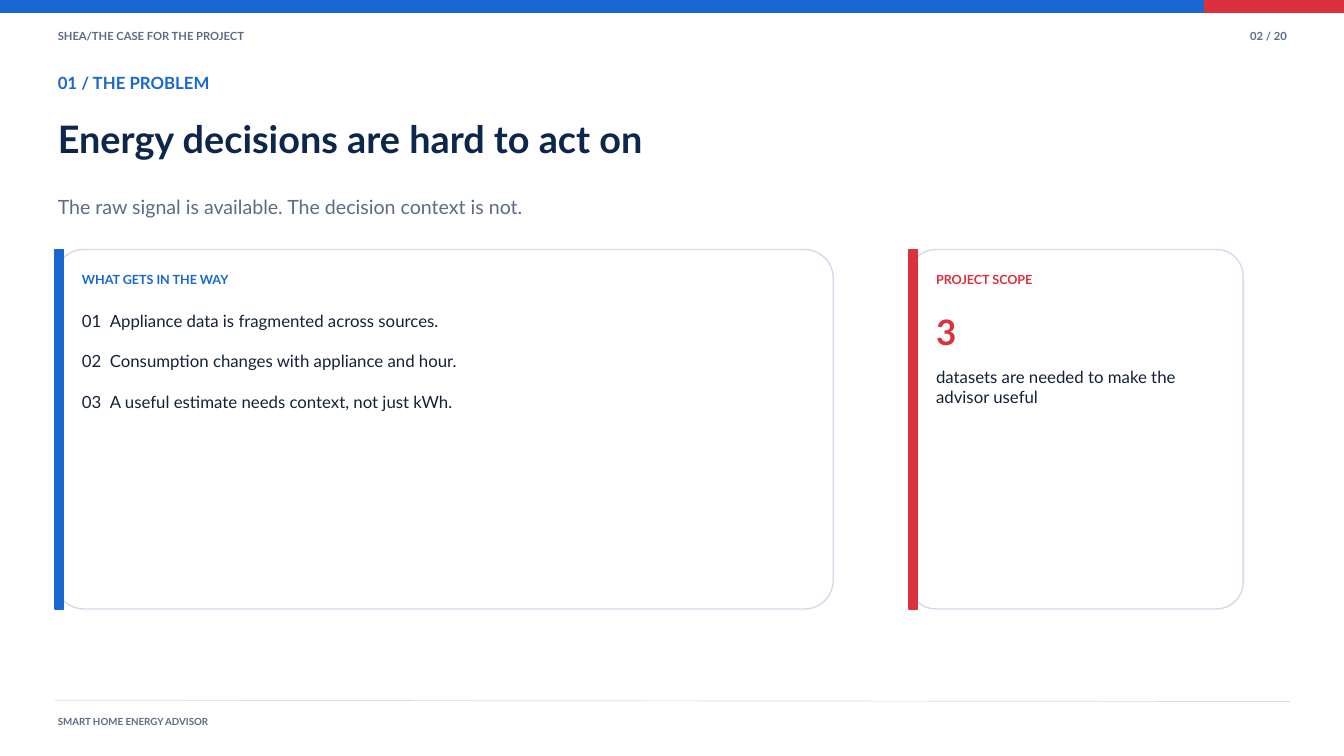
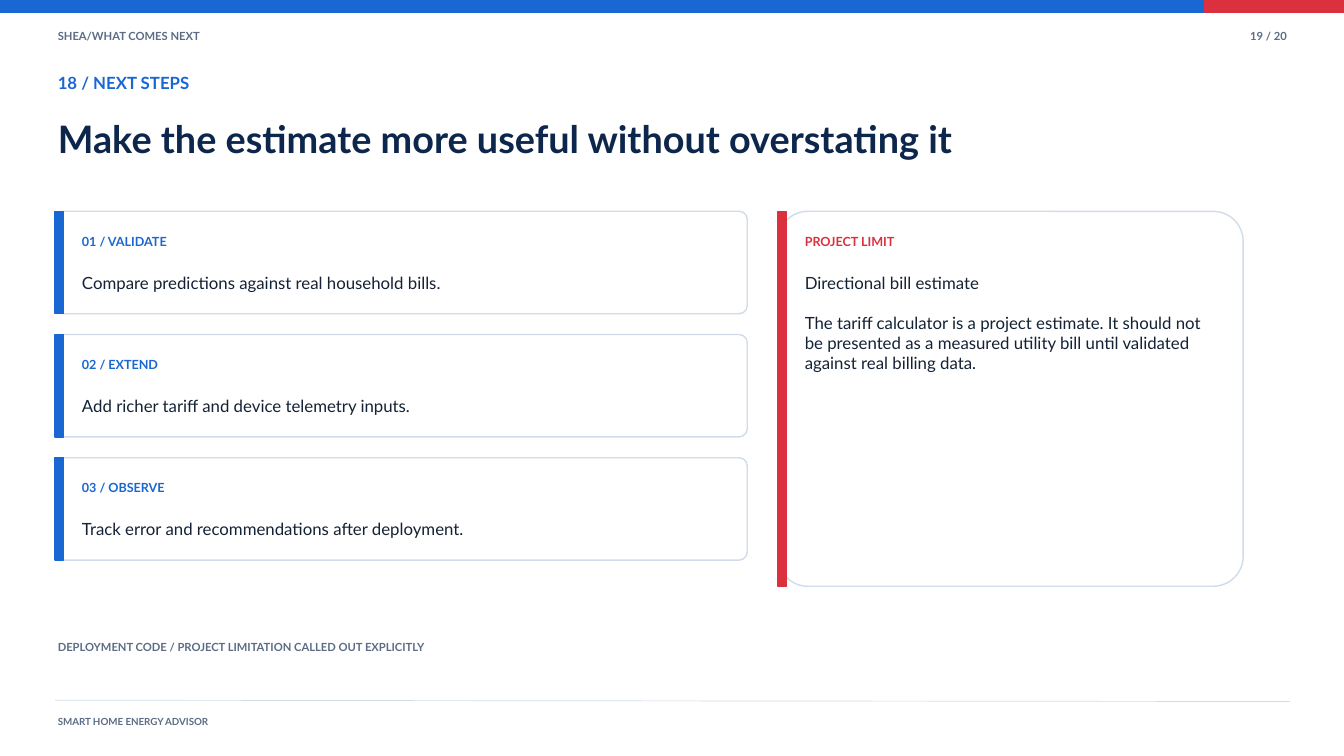
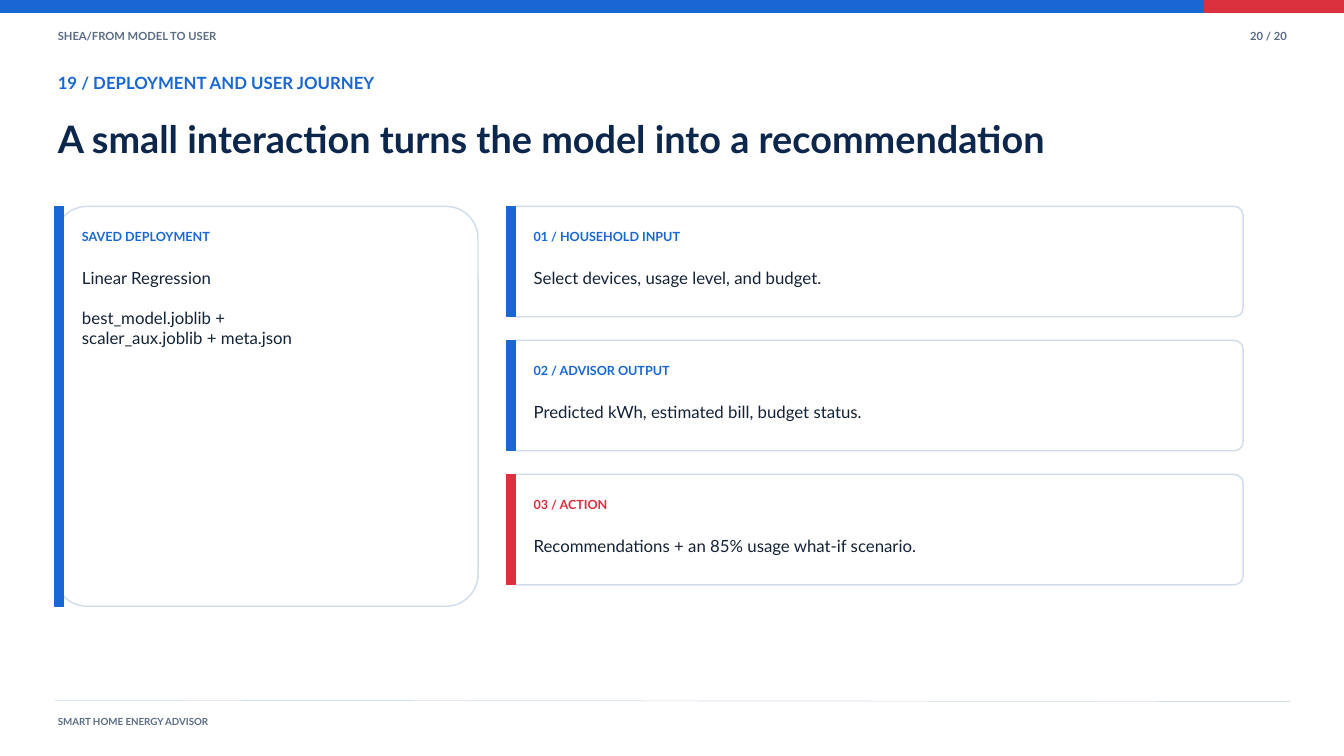
from dataclasses import dataclass

from lxml import etree
from pptx import Presentation
from pptx import util as u
from pptx.dml.color import RGBColor
from pptx.enum import shapes, text
from pptx.oxml.ns import qn

# Shared look
COLORS = {
    "blue": "1967D2",
    "red": "DB313F",
    "navy": "0D264C",
    "ink": "142236",
    "slate": "5B6C84",
    "border": "D1DCEB",
    "white": "FFFFFF",
}
FONT = "Lato"
LEADING = 1.2
SLIDE_WIDTH, SLIDE_HEIGHT = u.Inches(20), u.Inches(11.25)
SLIDE_TOTAL = 20

# Grid: a column is 1% of the slide's width, a row 1% of its height
TEXT_LEFT = 4.3
CARD_LEFT = 4.1
CARD_RIGHT = 92.5
STRIPE_WIDTH = 0.63
LABEL_DROP, BODY_DROP, STAT_DROP = 2.93, 8.1, 15.47
INSET_LEFT, INSET_RIGHT, INSET_BOTTOM = 2, 1.55, 2.8


@dataclass(frozen=True)
class Box:
    left: float
    top: float
    width: float
    height: float

    def emu(self) -> tuple[int, int, int, int]:
        return (across(self.left), down(self.top),
                across(self.width), down(self.height))


@dataclass(frozen=True)
class Style:
    size: float
    color: str
    bold: bool = True


@dataclass(frozen=True)
class Card:
    box: Box
    label: str
    body: tuple[str, ...]
    accent: str = "blue"
    stat: str = ""


@dataclass(frozen=True)
class Page:
    number: int
    header: str
    section: str
    title: str
    cards: tuple[Card, ...]
    lead: str = ""
    note: str = ""


SMALL = Style(12, "slate")
FOOTER = Style(10.5, "slate")
SECTION = Style(18, "blue")
TITLE = Style(40.5, "navy")
LEAD = Style(21, "slate", bold=False)
BODY = Style(18, "ink", bold=False)


def across(columns: float) -> int:
    return round(SLIDE_WIDTH * columns / 100)


def down(rows: float) -> int:
    return round(SLIDE_HEIGHT * rows / 100)


def rgb(name: str) -> RGBColor:
    return RGBColor.from_string(COLORS[name])


# Drawing helpers
def write(shape, lines: tuple[str, ...], style: Style,
          align=text.PP_ALIGN.LEFT) -> None:
    frame = shape.text_frame
    frame.word_wrap = True
    frame.auto_size = text.MSO_AUTO_SIZE.NONE
    frame.vertical_anchor = text.MSO_ANCHOR.TOP
    frame.margin_left = frame.margin_right = 0
    frame.margin_top = frame.margin_bottom = 0
    leading = u.Pt(style.size * LEADING)
    for index, line in enumerate(lines):
        paragraph = frame.add_paragraph() if index else frame.paragraphs[0]
        paragraph.text = line
        paragraph.alignment = align
        paragraph.line_spacing = leading
        paragraph.space_before = leading if index else u.Pt(0)
        if "\t" in line:  # hanging indent for numbered lines
            properties = paragraph._p.get_or_add_pPr()
            indent = across(2.07)
            properties.set("marL", str(indent))
            properties.set("indent", str(-indent))
        font = paragraph.font
        font.name, font.size, font.bold = FONT, u.Pt(style.size), style.bold
        font.color.rgb = rgb(style.color)


def add_text(slide, box: Box, lines: tuple[str, ...], style: Style,
             align=text.PP_ALIGN.LEFT) -> None:
    write(slide.shapes.add_textbox(*box.emu()), lines, style, align)


def add_block(slide, box: Box, fill: str, line: str,
              kind=shapes.MSO_SHAPE.RECTANGLE):
    shape = slide.shapes.add_shape(kind, *box.emu())
    shape.shadow.inherit = False
    shape.fill.solid()
    shape.fill.fore_color.rgb = rgb(fill)
    shape.line.color.rgb = rgb(line)
    shape.line.width = u.Pt(1.5)
    return shape


def add_card(slide, card: Card) -> None:
    box = card.box
    panel = add_block(slide, box, "white", "border",
                      shapes.MSO_SHAPE.ROUNDED_RECTANGLE)
    panel.adjustments[0] = 0.08
    add_block(slide, Box(box.left, box.top, STRIPE_WIDTH, box.height),
              card.accent, card.accent)

    def inner(drop: float, height: float) -> Box:
        return Box(box.left + INSET_LEFT, box.top + drop,
                   box.width - INSET_LEFT - INSET_RIGHT, height)

    add_text(slide, inner(LABEL_DROP, 2.5), (card.label,),
             Style(13.5, card.accent))
    if card.stat:
        add_text(slide, inner(BODY_DROP, 5.87), (card.stat,),
                 Style(37.5, card.accent))
    drop = STAT_DROP if card.stat else BODY_DROP
    add_text(slide, inner(drop, box.height - drop - INSET_BOTTOM),
             card.body, BODY)


def add_frame(slide, page: Page) -> None:
    # Top band, running header and page number
    add_block(slide, Box(0, 0, 100, 1.6), "blue", "blue")
    add_block(slide, Box(89.65, 0, 10.35, 1.6), "red", "red")
    add_text(slide, Box(TEXT_LEFT, 3.91, 59.75, 2.67),
             (f"SHEA/{page.header}",), SMALL)
    add_text(slide, Box(88.55, 3.91, 7.2, 2.67),
             (f"{page.number:02} / {SLIDE_TOTAL}",), SMALL,
             text.PP_ALIGN.RIGHT)

    # Section and title
    add_text(slide, Box(TEXT_LEFT, 9.6, 90.15, 4.2),
             (f"{page.number - 1:02} / {page.section}",), SECTION)
    title = slide.shapes.title
    (title.left, title.top,
     title.width, title.height) = Box(TEXT_LEFT, 15.29, 90.15, 10.3).emu()
    write(title, (page.title,), TITLE)

    # Footer
    rule = slide.shapes.add_connector(
        shapes.MSO_CONNECTOR.STRAIGHT,
        across(CARD_LEFT), down(92.62), across(96), down(92.8))
    rule.line.color.rgb = rgb("border")
    rule.line.width = u.Pt(0.75)
    etree.SubElement(rule._element.spPr, qn("a:effectLst"))
    add_text(slide, Box(TEXT_LEFT, 94.67, 29.7, 1.96),
             ("SMART HOME ENERGY ADVISOR",), FOOTER)


def add_page(presentation, page: Page) -> None:
    slide = presentation.slides.add_slide(presentation.slide_layouts[5])
    add_frame(slide, page)
    if page.lead:
        add_text(slide, Box(TEXT_LEFT, 25.78, 52.25, 3.3), (page.lead,), LEAD)
    for card in page.cards:
        add_card(slide, card)
    if page.note:
        add_text(slide, Box(TEXT_LEFT, 84.71, 74.75, 2.13),
                 (page.note,), SMALL)


def numbered_cards(first: Box, pitch: float, items: tuple[tuple[str, str], ...],
                   last_accent: str = "blue") -> tuple[Card, ...]:
    return tuple(
        Card(Box(first.left, first.top + index * pitch,
                 first.width, first.height),
             f"{index + 1:02} / {label}", (body,),
             last_accent if index == len(items) - 1 else "blue")
        for index, (label, body) in enumerate(items))


def card_to_right_edge(left: float, top: float, height: float) -> Box:
    return Box(left, top, CARD_RIGHT - left, height)


# Content
PAGES = (
    Page(
        2, "THE CASE FOR THE PROJECT", "THE PROBLEM",
        "Energy decisions are hard to act on",
        (
            Card(Box(CARD_LEFT, 33, 57.9, 47.55), "WHAT GETS IN THE WAY", (
                "01\tAppliance data is fragmented across sources.",
                "02\tConsumption changes with appliance and hour.",
                "03\tA useful estimate needs context, not just kWh.",
            )),
            Card(card_to_right_edge(67.65, 33, 47.55), "PROJECT SCOPE",
                 ("datasets are needed to make the advisor useful",),
                 "red", stat="3"),
        ),
        lead="The raw signal is available. The decision context is not.",
    ),
    Page(
        19, "WHAT COMES NEXT", "NEXT STEPS",
        "Make the estimate more useful without overstating it",
        (
            *numbered_cards(Box(CARD_LEFT, 27.95, 51.5, 13.55), 16.3, (
                ("VALIDATE", "Compare predictions against real household bills."),
                ("EXTEND", "Add richer tariff and device telemetry inputs."),
                ("OBSERVE", "Track error and recommendations after deployment."),
            )),
            Card(card_to_right_edge(57.88, 27.95, 49.6), "PROJECT LIMIT", (
                "Directional bill estimate",
                "The tariff calculator is a project estimate. It should not "
                "be presented as a measured utility bill until validated "
                "against real billing data.",
            ), "red"),
        ),
        note="DEPLOYMENT CODE / PROJECT LIMITATION CALLED OUT EXPLICITLY",
    ),
    Page(
        20, "FROM MODEL TO USER", "DEPLOYMENT AND USER JOURNEY",
        "A small interaction turns the model into a recommendation",
        (
            Card(Box(CARD_LEFT, 27.3, 31.47, 52.9), "SAVED DEPLOYMENT", (
                "Linear Regression",
                "best_model.joblib +\vscaler_aux.joblib + meta.json",
            )),
            *numbered_cards(card_to_right_edge(37.7, 27.3, 14.6), 17.73, (
                ("HOUSEHOLD INPUT", "Select devices, usage level, and budget."),
                ("ADVISOR OUTPUT", "Predicted kWh, estimated bill, budget status."),
                ("ACTION", "Recommendations + an 85% usage what-if scenario."),
            ), last_accent="red"),
        ),
    ),
)


def main() -> None:
    presentation = Presentation()
    presentation.slide_width = SLIDE_WIDTH
    presentation.slide_height = SLIDE_HEIGHT
    for page in PAGES:
        add_page(presentation, page)
    presentation.save("out.pptx")


if __name__ == "__main__":
    main()
